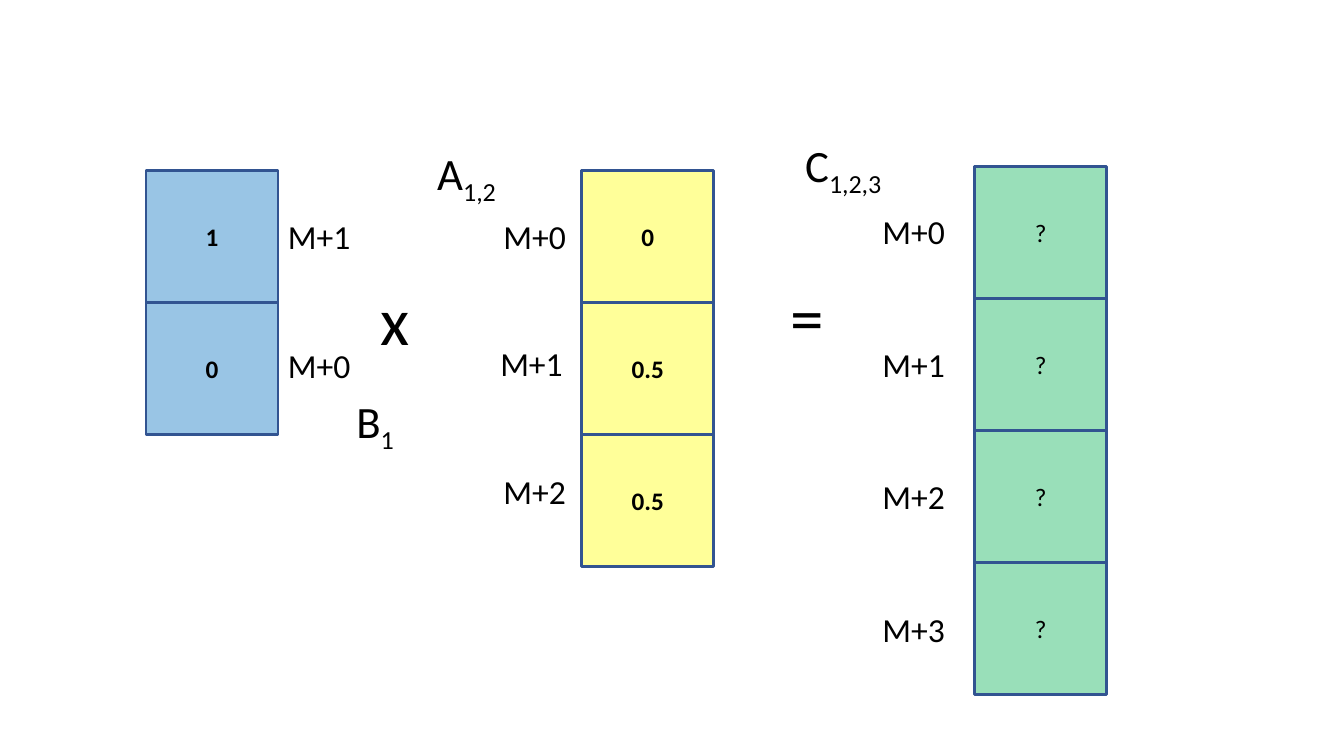
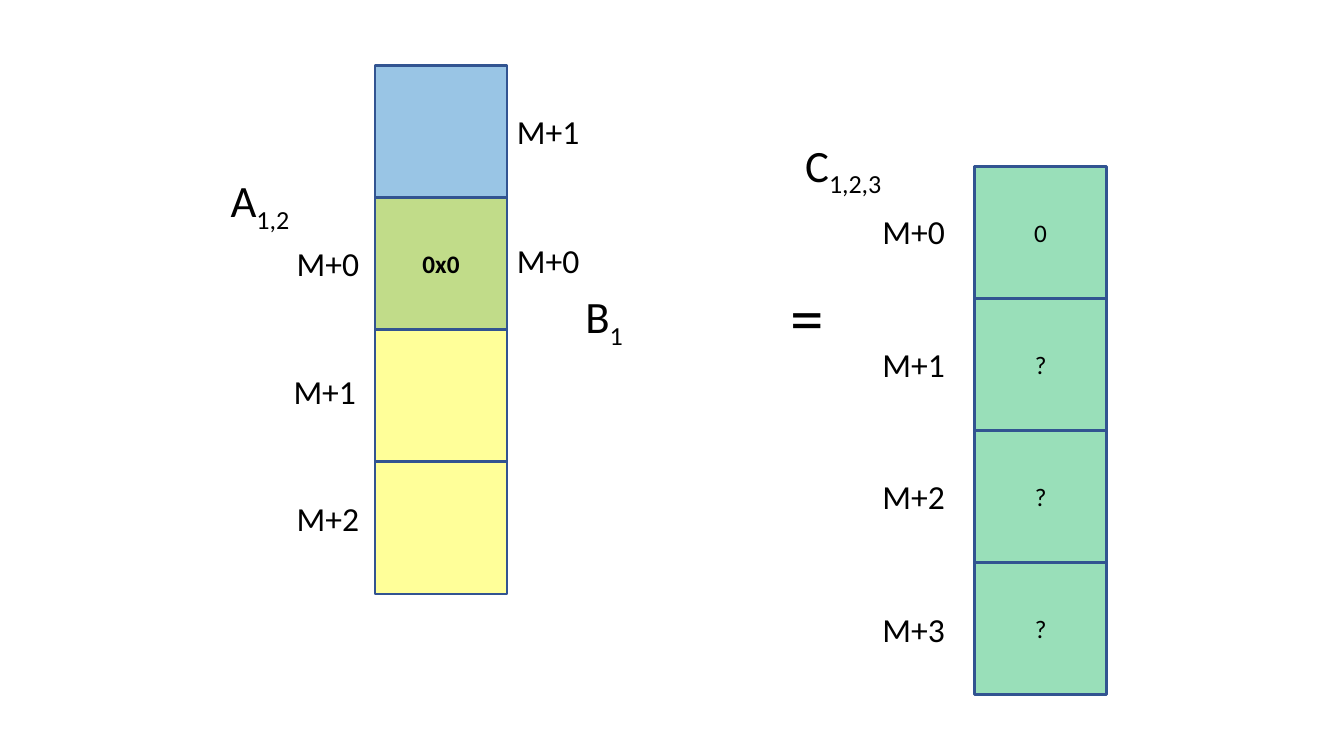
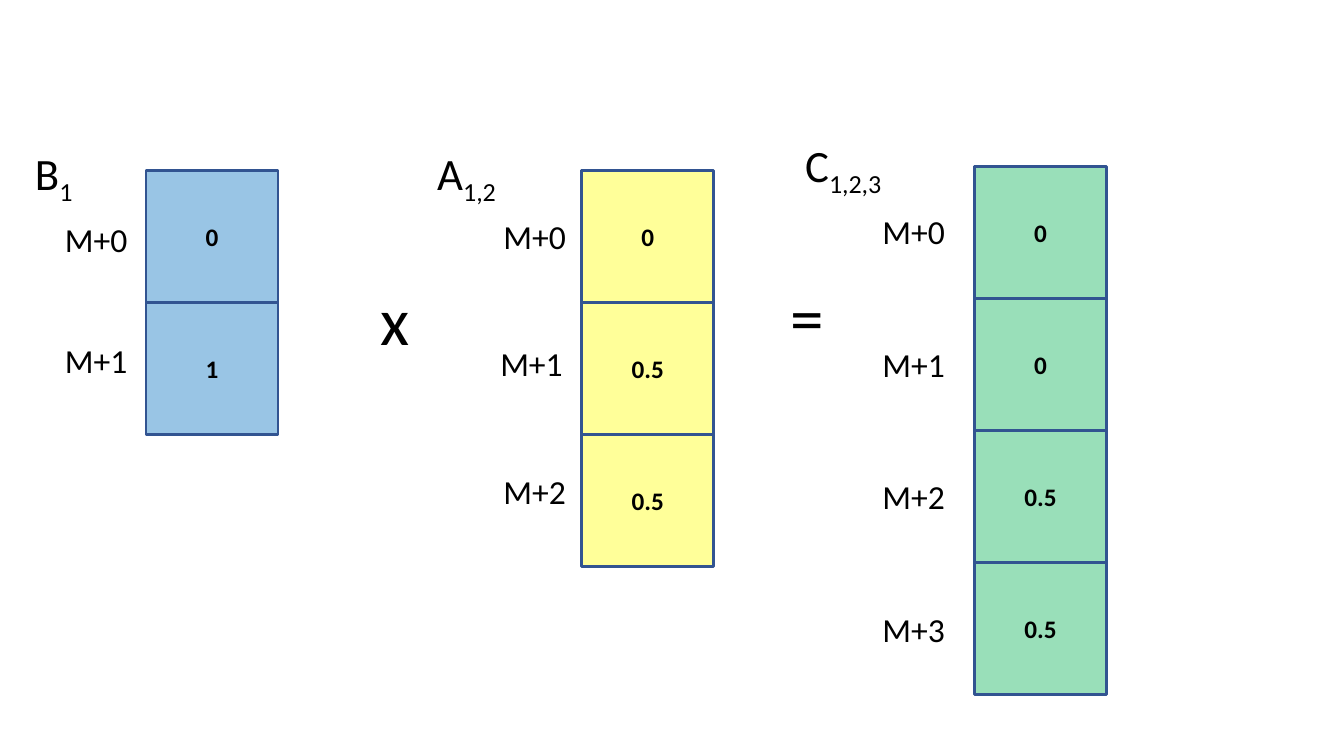
from pptx import Presentation
from pptx.dml.color import RGBColor
from pptx.enum.shapes import MSO_SHAPE
from pptx.enum.text import MSO_ANCHOR, MSO_AUTO_SIZE, PP_ALIGN
from pptx.oxml.ns import qn
from pptx.util import Cm, Pt
from lxml import etree

FONT = "Calibri"
BLACK, OUTLINE = "000000", "325491"
CELL = 3.33
LABEL_W, LABEL_H = 3.07, 1.27
NAME_H = 1.63
OPERATOR_W, OPERATOR_H = 1.63, 2.31

B_RIGHT = dict(name=("B", "1"), name_w=1.63, color="0070C0", labels=("M+1", "M+0"),
               name_at=(5.05, 5.51), label_x=(2.83, 2.83), label_y=1.02, pitch=3.25)
B_LEFT = dict(B_RIGHT, labels=("M+0", "M+1"), name_at=(-3.05, -0.74),
              label_x=(-2.79, -2.79), label_y=1.09, pitch=3.05)
A = dict(name=("A", "1,2"), name_w=2.62, color="FFFF00", labels=("M+0", "M+1", "M+2"),
         name_at=(-3.89, -0.74), label_x=(-2.72, -2.8, -2.72), label_y=1.02, pitch=3.21)
C = dict(name=("C", "1,2,3"), name_w=3.71, color="00B050", labels=("M+0", "M+1", "M+2", "M+3"),
         name_at=(-4.52, -0.84), label_x=(-3.07,) * 4, label_y=1.0, pitch=3.34)

B_AT, A_AT, C_AT = (3.68, 4.29), (14.66, 4.29), (24.56, 4.19)
B_STACKED_AT, A_STACKED_AT = (9.45, 1.65), (9.45, 1.65 + CELL)
TIMES, EQUALS = ("x", 9.14, 6.88), ("=", 19.53, 6.81)

SLIDES = [
    dict(columns=[(B_RIGHT, B_AT, ("1", "0"), True),
                  (A, A_AT, ("0", "0.5", "0.5"), True),
                  (C, C_AT, ("?", "?", "?", "?"), False)],
         operators=[TIMES, EQUALS]),
    dict(columns=[(B_RIGHT, B_STACKED_AT, ("", ""), True),
                  (A, A_STACKED_AT, ("0x0", "", ""), True),
                  (C, C_AT, ("0", "?", "?", "?"), False)],
         operators=[EQUALS]),
    dict(columns=[(B_LEFT, B_AT, ("0", "1"), True),
                  (A, A_AT, ("0", "0.5", "0.5"), True),
                  (C, C_AT, ("0", "0", "0.5", "0.5"), True)],
         operators=[TIMES, EQUALS]),
]


def rgb(value):
    return RGBColor.from_string(value)


def add_run(paragraph, text, size, bold=False):
    run = paragraph.add_run()
    run.text = text
    run.font.name = FONT
    run.font.size = Pt(size)
    run.font.bold = bold
    run.font.color.rgb = rgb(BLACK)
    return run


def add_text(shapes, text, x, y, w, h, size, subscript=""):
    box = shapes.add_textbox(Cm(x), Cm(y), Cm(w), Cm(h))
    box.text_frame.word_wrap = True
    box.text_frame.auto_size = MSO_AUTO_SIZE.SHAPE_TO_FIT_TEXT
    paragraph = box.text_frame.paragraphs[0]
    paragraph.alignment = PP_ALIGN.LEFT if subscript else PP_ALIGN.CENTER
    add_run(paragraph, text, size)
    if subscript:
        run = add_run(paragraph, subscript, size)
        run.font._element.set("baseline", "-25000")


def add_cell(shapes, value, x, y, color, bold):
    cell = shapes.add_shape(MSO_SHAPE.RECTANGLE, Cm(x), Cm(y), Cm(CELL), Cm(CELL))
    cell.shadow.inherit = False
    cell.fill.solid()
    cell.fill.fore_color.rgb = rgb(color)
    tint = cell._element.spPr.find(qn("a:solidFill")).find(qn("a:srgbClr"))
    etree.SubElement(tint, qn("a:alpha")).set("val", "40000")
    cell.line.color.rgb = rgb(OUTLINE)
    cell.line.width = Pt(2)
    cell.text_frame.vertical_anchor = MSO_ANCHOR.MIDDLE
    if value:
        paragraph = cell.text_frame.paragraphs[0]
        paragraph.alignment = PP_ALIGN.CENTER
        add_run(paragraph, value, 18, bold)


def add_column(slide, vector, origin, values, bold):
    left, top = origin
    shapes = slide.shapes.add_group_shape().shapes
    for row, value in enumerate(values):
        add_cell(shapes, value, left, top + row * CELL, vector["color"], bold)
    for row, (label, dx) in enumerate(zip(vector["labels"], vector["label_x"])):
        y = top + vector["label_y"] + row * vector["pitch"]
        add_text(shapes, label, left + dx, y, LABEL_W, LABEL_H, 24)
    letter, subscript = vector["name"]
    dx, dy = vector["name_at"]
    add_text(shapes, letter, left + dx, top + dy, vector["name_w"], NAME_H, 32, subscript)


prs = Presentation()
prs.slide_width, prs.slide_height = Cm(33.87), Cm(19.05)
for content in SLIDES:
    slide = prs.slides.add_slide(prs.slide_layouts[6])
    for column in content["columns"]:
        add_column(slide, *column)
    for sign, x, y in content["operators"]:
        add_text(slide.shapes, sign, x, y, OPERATOR_W, OPERATOR_H, 48)
prs.save("out.pptx")
